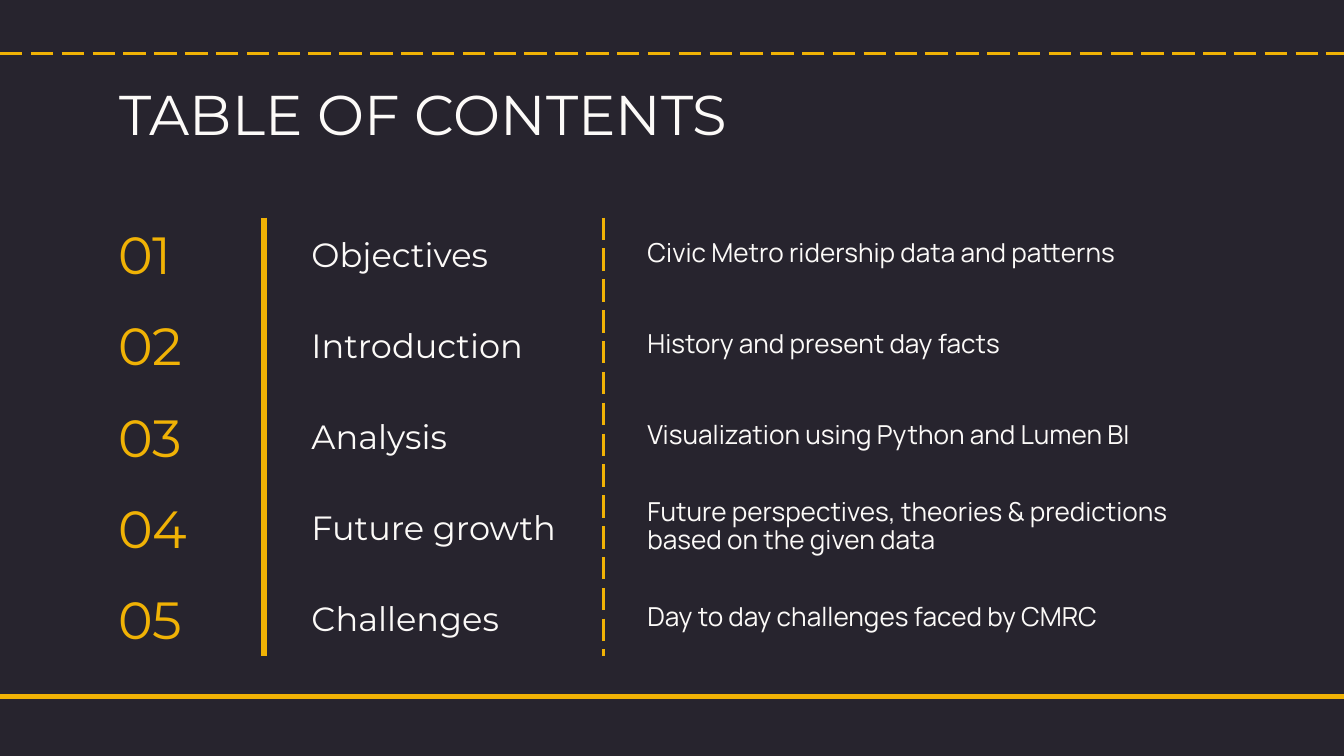
from dataclasses import dataclass

from lxml import etree
from pptx import Presentation
from pptx.dml.color import RGBColor
from pptx.enum.dml import MSO_LINE
from pptx.enum.shapes import MSO_CONNECTOR
from pptx.enum.text import MSO_ANCHOR, MSO_AUTO_SIZE, PP_ALIGN
from pptx.oxml.ns import qn
from pptx.slide import Slide
from pptx.text.text import TextFrame
from pptx.util import Pt

STRAIGHT = MSO_CONNECTOR.STRAIGHT
LONG_DASH = MSO_LINE.LONG_DASH
TOP, MIDDLE = MSO_ANCHOR.TOP, MSO_ANCHOR.MIDDLE
LEFT = PP_ALIGN.LEFT
NO_AUTOFIT = MSO_AUTO_SIZE.NONE

NIGHT = RGBColor(0x27, 0x24, 0x2E)
AMBER = RGBColor(0xF0, 0xB2, 0x05)
IVORY = RGBColor(0xFC, 0xFA, 0xF8)

SLIDE_WIDTH, SLIDE_HEIGHT = 720, 405
TITLE_LAYOUT = 5
FIRST_ROW_CENTRE, ROW_PITCH = 136.1, 48.8
DIVIDER_TOP, DIVIDER_BOTTOM = 116.6, 351.4
FRAME_FORMAT = {
    "word_wrap": True,
    "auto_size": NO_AUTOFIT,
    "margin_left": Pt(7.2),
    "margin_right": Pt(7.2),
    "margin_top": Pt(7.2),
    "margin_bottom": Pt(7.2),
}


@dataclass(frozen=True)
class TextStyle:
    font: str
    size: float
    color: RGBColor
    anchor: MSO_ANCHOR = MIDDLE
    line_spacing: float = 1.0


@dataclass(frozen=True)
class Column:
    left: float
    width: float
    height: float
    style: TextStyle


@dataclass(frozen=True)
class Rule:
    start: tuple[float, float]
    end: tuple[float, float]
    weight: float
    dash: MSO_LINE | None = None


@dataclass(frozen=True)
class Section:
    heading: str
    summary: str


HEADLINE = TextStyle("Montserrat", 30, IVORY, TOP)
NUMBERS = Column(56.2, 67, 39, TextStyle("Montserrat", 28, AMBER))
HEADINGS = Column(159.8, 151.2, 35, TextStyle("Montserrat", 18, IVORY))
SUMMARIES = Column(339.8, 319.7, 35,
                   TextStyle("Manrope", 14, IVORY, line_spacing=0.9))

RULES = (
    Rule((0, 373.2), (SLIDE_WIDTH, 373.2), 3),
    Rule((0, 28.8), (SLIDE_WIDTH, 28.8), 1.5, LONG_DASH),
    Rule((323.3, DIVIDER_TOP), (323.3, DIVIDER_BOTTOM), 1.5, LONG_DASH),
    Rule((141.3, DIVIDER_TOP), (141.3, DIVIDER_BOTTOM), 3),
)

SECTIONS = (
    Section("Objectives", "Civic Metro ridership data and patterns"),
    Section("Introduction", "History and present day facts"),
    Section("Analysis", "Visualization using Python and Lumen BI"),
    Section("Future growth",
            "Future perspectives, theories & predictions based on the given data"),
    Section("Challenges", "Day to day challenges faced by CMRC"),
)


def write_text(frame: TextFrame, text: str, style: TextStyle) -> None:
    for attribute, value in FRAME_FORMAT.items():
        setattr(frame, attribute, value)
    frame.vertical_anchor = style.anchor
    paragraph = frame.paragraphs[0]
    paragraph.alignment = LEFT
    paragraph.line_spacing = style.line_spacing
    run = paragraph.add_run()
    run.text = text
    run.font.name = style.font
    run.font.size = Pt(style.size)
    run.font.color.rgb = style.color


def draw_rule(slide: Slide, rule: Rule) -> None:
    ends = [Pt(value) for value in (*rule.start, *rule.end)]
    connector = slide.shapes.add_connector(STRAIGHT, *ends)
    connector.line.color.rgb = AMBER
    connector.line.width = Pt(rule.weight)
    if rule.dash is not None:
        connector.line.dash_style = rule.dash
    etree.SubElement(connector._element.spPr, qn("a:effectLst"))


def draw_cell(slide: Slide, column: Column, centre: float, text: str) -> None:
    box = slide.shapes.add_textbox(
        Pt(column.left), Pt(centre - column.height / 2),
        Pt(column.width), Pt(column.height))
    write_text(box.text_frame, text, column.style)


def draw_title(slide: Slide, text: str) -> None:
    title = slide.shapes.title
    title.left, title.top = Pt(56.9), Pt(35.3)
    title.width, title.height = Pt(607), Pt(45.4)
    write_text(title.text_frame, text, HEADLINE)


def main() -> None:
    presentation = Presentation()
    presentation.slide_width = Pt(SLIDE_WIDTH)
    presentation.slide_height = Pt(SLIDE_HEIGHT)
    slide = presentation.slides.add_slide(presentation.slide_layouts[TITLE_LAYOUT])
    slide.background.fill.solid()
    slide.background.fill.fore_color.rgb = NIGHT

    draw_title(slide, "TABLE OF CONTENTS")

    # Contents rows: number, heading and summary share a centre line
    for index, section in enumerate(SECTIONS):
        centre = FIRST_ROW_CENTRE + index * ROW_PITCH
        draw_cell(slide, NUMBERS, centre, f"{index + 1:02d}")
        draw_cell(slide, HEADINGS, centre, section.heading)
        draw_cell(slide, SUMMARIES, centre, section.summary)

    # Horizontal bands and column dividers
    for rule in RULES:
        draw_rule(slide, rule)

    presentation.save("out.pptx")


if __name__ == "__main__":
    main()
